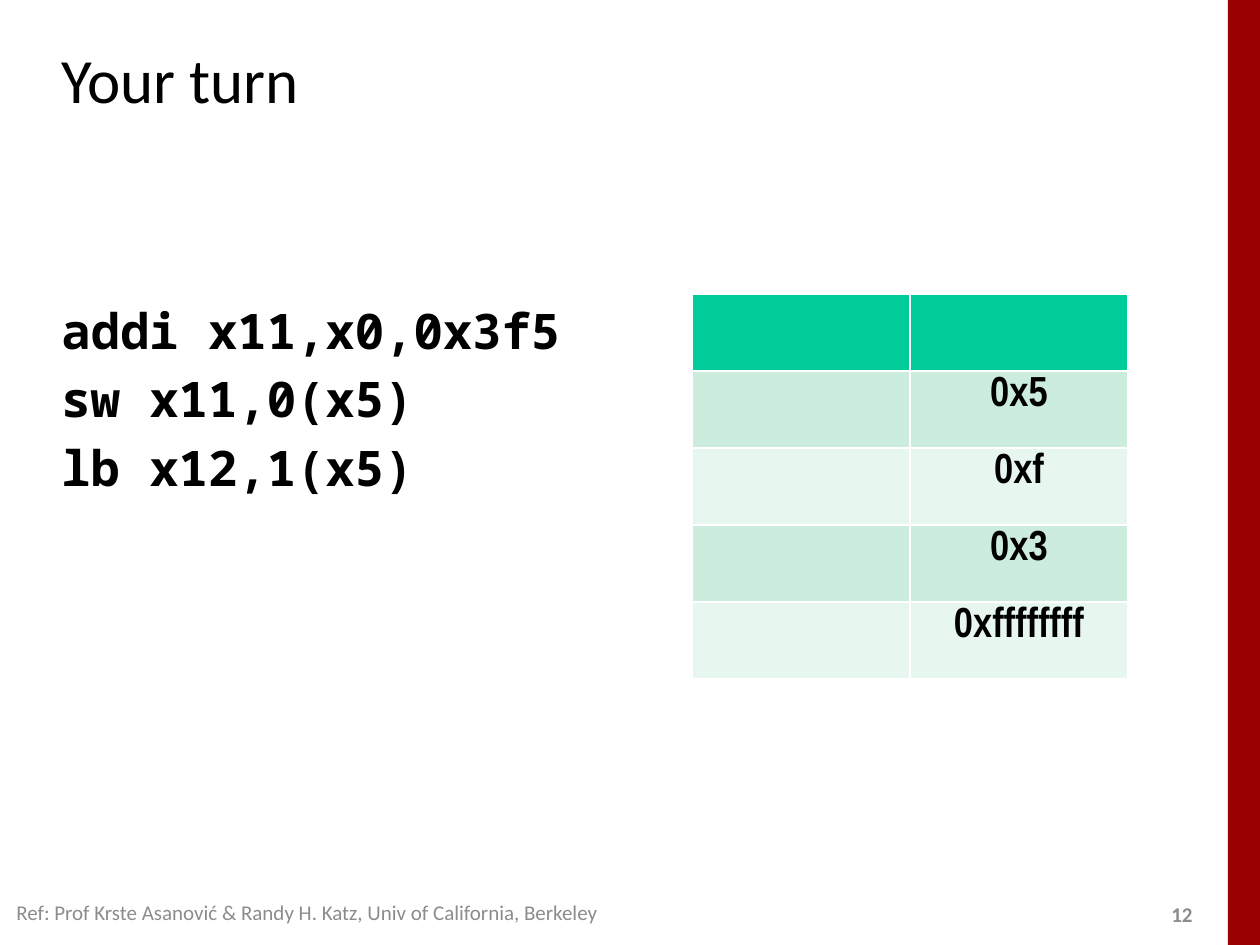
import pptx
import pptx.dml.color
import pptx.enum.shapes
import pptx.enum.text
import pptx.oxml
import pptx.oxml.ns
import pptx.util
import lxml.etree

SCALE = 914400 // 126
ANCHOR = pptx.enum.text.MSO_ANCHOR
GREY = "8C8C8C"


def px(*sizes):
    """Turn pixels into EMU."""
    return [pptx.util.Emu(size * SCALE) for size in sizes]


def tint(text):
    """Turn a hex string into a colour."""
    return pptx.dml.color.RGBColor.from_string(text)


def paint(item, color):
    """Give a shape or cell a solid fill."""
    item.fill.solid()
    item.fill.fore_color.rgb = tint(color)


def write(para, text, size, face, color="000000", bold=False):
    """Add one styled run to a paragraph."""
    run = para.add_run()
    run.text = text
    run.font.size = pptx.util.Pt(size)
    run.font.name = face
    run.font.bold = bold
    run.font.color.rgb = tint(color)


def space(para, share):
    """Set the space before a paragraph as a percentage."""
    props = para._p.get_or_add_pPr()
    before = lxml.etree.SubElement(props, pptx.oxml.ns.qn("a:spcBef"))
    part = lxml.etree.SubElement(before, pptx.oxml.ns.qn("a:spcPct"))
    part.set("val", str(share * 1000))


def label(slide, box, lines, size, face, color="000000", bold=False,
          anchor=ANCHOR.MIDDLE, gap=0):
    """Place a text box with one paragraph for each line."""
    frame = slide.shapes.add_textbox(*px(*box)).text_frame
    frame.word_wrap = True
    frame.vertical_anchor = anchor
    for index, line in enumerate(lines):
        para = frame.add_paragraph() if index else frame.paragraphs[0]
        if gap:
            space(para, gap)
        write(para, line, size, face, color, bold)


def edge(cell, color, width):
    """Draw the four borders of a cell."""
    props = cell._tc.get_or_add_tcPr()
    for index, side in enumerate(("lnL", "lnR", "lnT", "lnB")):
        line = pptx.oxml.parse_xml(
            f'<a:{side} {pptx.oxml.ns.nsdecls("a")} w="{width * 12700}">'
            f'<a:solidFill><a:srgbClr val="{color}"/></a:solidFill></a:{side}>')
        props.insert(index, line)


def memory(slide, box, values):
    """Place the memory table with a header row and banded rows."""
    count = len(values) + 1
    table = slide.shapes.add_table(count, 2, *px(*box)).table
    for column in table.columns:
        column.width = px(box[2] // 2)[0]
    for index, row in enumerate(table.rows):
        row.height = px(box[3] // count)[0]
        band = "CCECDE" if index % 2 else "E7F6EF"
        for cell in row.cells:
            paint(cell, band if index else "00CC99")
            edge(cell, "FFFFFF", 1)
            cell.margin_top, cell.margin_bottom = px(5, 5)
    for index, value in enumerate(values, 1):
        para = table.cell(index, 1).text_frame.paragraphs[0]
        para.alignment = pptx.enum.text.PP_ALIGN.CENTER
        write(para, value, 24, "Arial Narrow", bold=True)


def stripe(slide, box):
    """Place the red stripe."""
    shape = slide.shapes.add_shape(
        pptx.enum.shapes.MSO_SHAPE.RECTANGLE, *px(*box))
    shape.shadow.inherit = False
    paint(shape, "990000")
    shape.line.fill.background()


def footer(slide, box, credit, number):
    """Place the credit at the left and the number at the right."""
    left, top, width, height = box
    label(slide, (left, top, 723, height), [credit], 12, "Calibri", GREY)
    label(slide, (left + width - 50, top + 7, 50, 38), [number], 12,
          "Calibri", GREY, True)


def main():
    """Build and save the slide."""
    deck = pptx.Presentation()
    deck.slide_width, deck.slide_height = px(1260, 945)
    slide = deck.slides.add_slide(deck.slide_layouts[6])
    stripe(slide, (1228, 0, 32, 945))
    label(slide, (49, 26, 1046, 105), ["Your turn"], 36, "Calibri")
    memory(slide, (692, 294, 436, 385), ["0x5", "0xf", "0x3", "0xffffffff"])
    label(slide, (49, 294, 557, 467),
          ["addi x11,x0,0x3f5", "sw x11,0(x5)", "lb x12,1(x5)"],
          28, "Noto Sans Mono", bold=True, anchor=ANCHOR.TOP, gap=20)
    footer(slide, (4, 888, 1205, 49),
           "Ref: Prof Krste Asanović & Randy H. Katz, "
           "Univ of California, Berkeley", "12")
    deck.save("out.pptx")


main()
